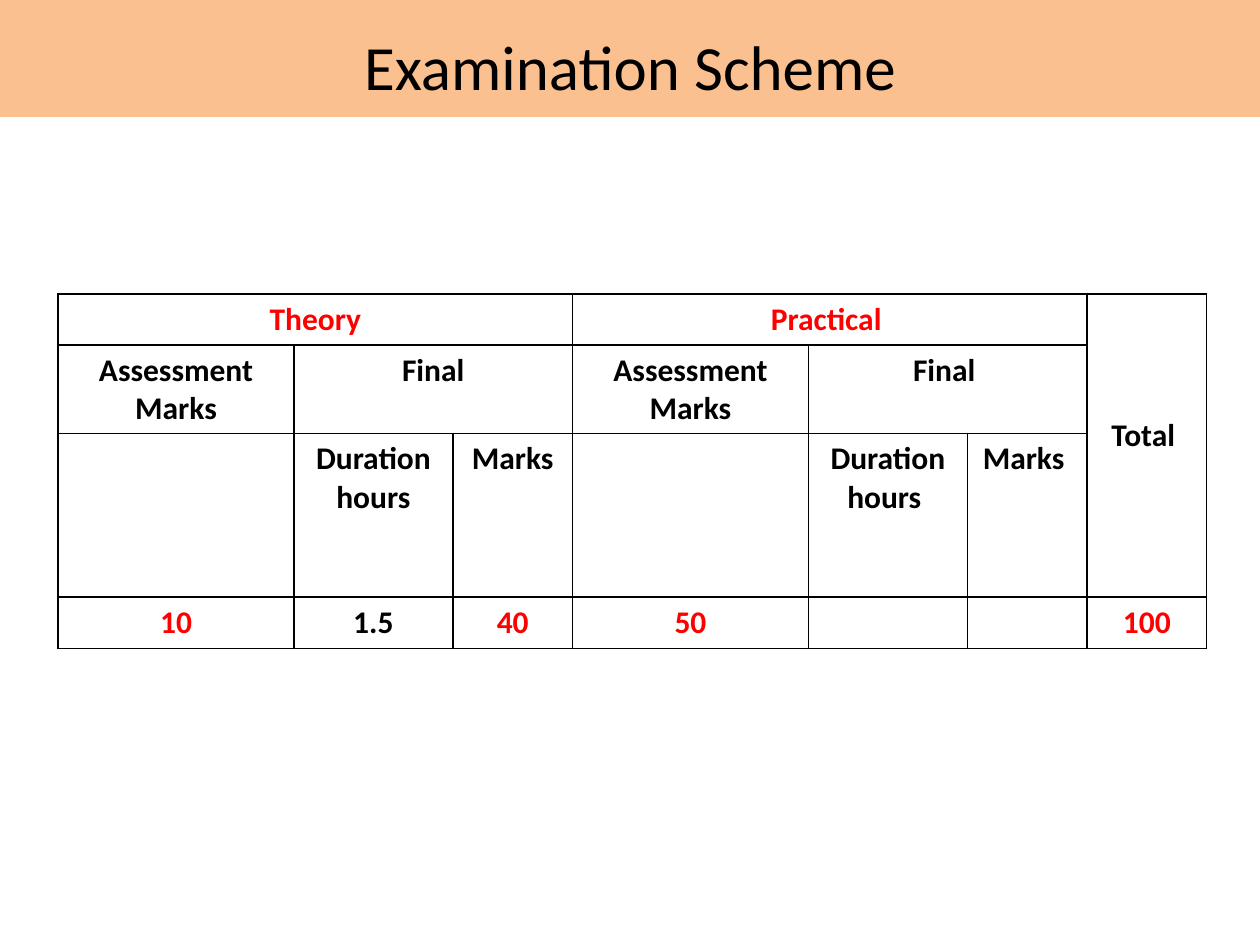
import pptx
import pptx.util
import pptx.dml.color
import pptx.enum.shapes
import pptx.enum.text
import pptx.oxml

Pt = pptx.util.Pt
ALIGN = pptx.enum.text.PP_ALIGN
ANCHOR = pptx.enum.text.MSO_ANCHOR
BLACK, RED, PEACH = "000000", "FF0000", "FAC090"
NS = 'xmlns:a="http://schemas.openxmlformats.org/drawingml/2006/main"'

COLS = [134.8, 90.8, 68.4] * 2 + [68.4]
ROWS = [29.2, 50.4, 93.6, 29.2]
# row, column, row span, column span, text, colour
CELLS = [
    (0, 0, 1, 3, "Theory", RED),
    (0, 3, 1, 3, "Practical ", RED),
    (0, 6, 3, 1, "Total ", BLACK),
    (1, 0, 1, 1, "Assessment Marks", BLACK),
    (1, 1, 1, 2, "Final", BLACK),
    (1, 3, 1, 1, "Assessment Marks", BLACK),
    (1, 4, 1, 2, "Final ", BLACK),
    (2, 1, 1, 1, "Duration hours", BLACK),
    (2, 2, 1, 1, "Marks", BLACK),
    (2, 4, 1, 1, "Duration hours ", BLACK),
    (2, 5, 1, 1, "Marks ", BLACK),
    (3, 0, 1, 1, "10", RED),
    (3, 1, 1, 1, "1.5", BLACK),
    (3, 2, 1, 1, "40", RED),
    (3, 3, 1, 1, "50", RED),
    (3, 6, 1, 1, "100", RED),
]


def color(code):
    return pptx.dml.color.RGBColor.from_string(code)


def write(frame, text, size, tint, bold=False):
    para = frame.paragraphs[0]
    para.alignment = ALIGN.CENTER
    run = para.add_run()
    run.text = text
    run.font.name = "Calibri"
    run.font.size = Pt(size)
    run.font.bold = bold
    run.font.color.rgb = color(tint)


def edge(cell):
    props = cell._tc.get_or_add_tcPr()
    for i, side in enumerate(("lnL", "lnR", "lnT", "lnB")):
        props.insert(i, pptx.oxml.parse_xml(
            f'<a:{side} {NS} w="{Pt(1)}"><a:solidFill>'
            f'<a:srgbClr val="{BLACK}"/></a:solidFill></a:{side}>'))


def banner(slide, left, top, width, height):
    # Coloured band
    band = slide.shapes.add_shape(
        pptx.enum.shapes.MSO_SHAPE.RECTANGLE,
        Pt(left), Pt(top), Pt(width), Pt(height))
    band.shadow.inherit = False
    band.fill.solid()
    band.fill.fore_color.rgb = color(PEACH)
    band.line.color.rgb = color(PEACH)
    band.line.width = Pt(2)
    # Title
    title = slide.shapes.add_textbox(
        Pt(left + 60), Pt(top + 12.2), Pt(width - 120), Pt(51))
    title.text_frame.word_wrap = True
    write(title.text_frame, "Examination Scheme", 36, BLACK)


def scheme(slide, left, top):
    table = slide.shapes.add_table(
        len(ROWS), len(COLS), Pt(left), Pt(top),
        Pt(sum(COLS)), Pt(sum(ROWS))).table
    table.first_row = table.horz_banding = False
    for col, width in zip(table.columns, COLS):
        col.width = Pt(width)
    for row, height in zip(table.rows, ROWS):
        row.height = Pt(height)

    # Plain cells with thin borders
    for cell in table.iter_cells():
        cell.fill.background()
        edge(cell)
        # Small type keeps empty cells from stretching their rows
        cell.text_frame.paragraphs[0].font.size = Pt(18)

    # Headings and marks
    for row, col, down, across, text, tint in CELLS:
        cell = table.cell(row, col)
        if down > 1 or across > 1:
            cell.merge(table.cell(row + down - 1, col + across - 1))
        if down > 1:
            cell.vertical_anchor = ANCHOR.MIDDLE
            cell.margin_bottom = Pt(15)
        write(cell.text_frame, text, 18, tint, True)


def main():
    deck = pptx.Presentation()
    deck.slide_width, deck.slide_height = Pt(720), Pt(540)
    slide = deck.slides.add_slide(deck.slide_layouts[6])
    banner(slide, 0, 0, 720, 66)
    scheme(slide, 33.2, 168)
    deck.save("out.pptx")


if __name__ == "__main__":
    main()
